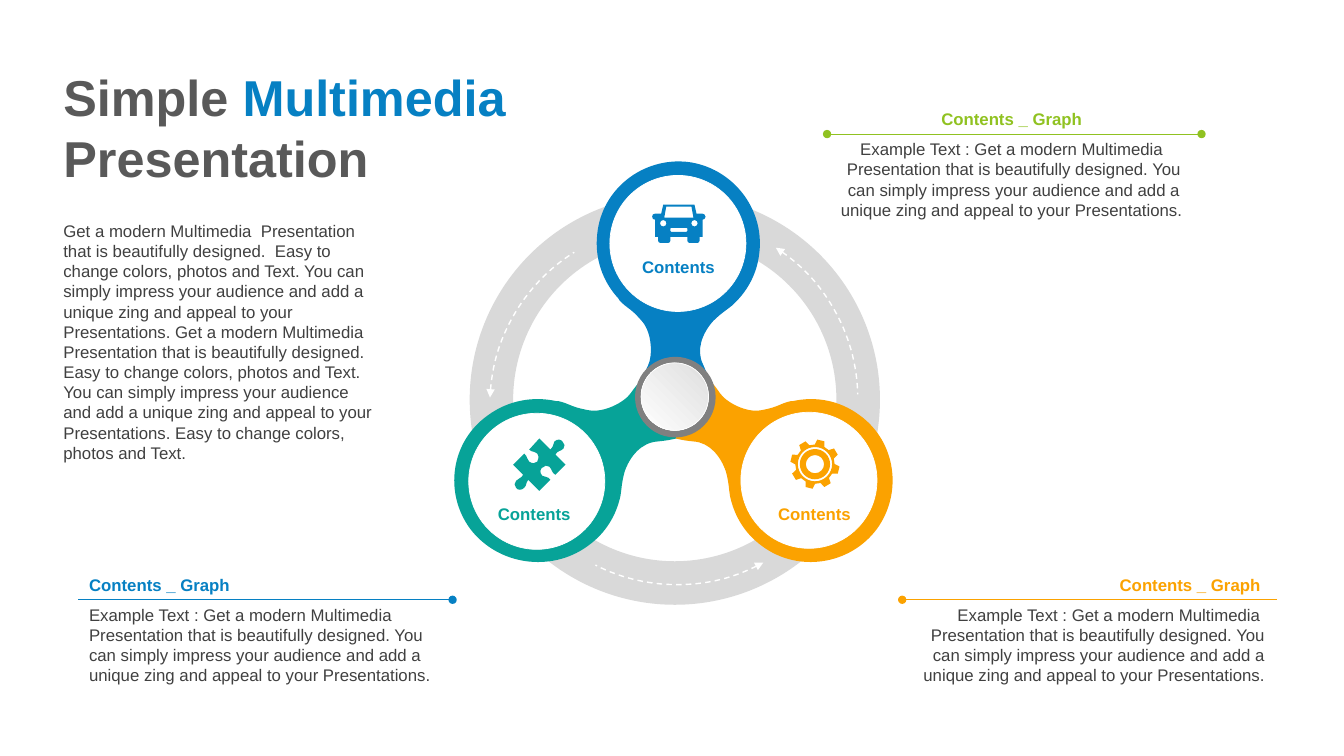
from math import cos, radians, sin

from lxml import etree
from pptx import Presentation
from pptx.dml.color import RGBColor
from pptx.enum.dml import MSO_LINE
from pptx.enum.shapes import MSO_CONNECTOR, MSO_SHAPE
from pptx.enum.text import MSO_AUTO_SIZE, PP_ALIGN
from pptx.oxml.ns import qn
from pptx.util import Inches, Pt

ARC, DONUT, OVAL = MSO_SHAPE.ARC, MSO_SHAPE.DONUT, MSO_SHAPE.OVAL
LEFT, CENTER, RIGHT = PP_ALIGN.LEFT, PP_ALIGN.CENTER, PP_ALIGN.RIGHT
STRAIGHT, DASH = MSO_CONNECTOR.STRAIGHT, MSO_LINE.DASH
FIT_SHAPE = MSO_AUTO_SIZE.SHAPE_TO_FIT_TEXT

CELL = Inches(0.1)
COLUMNS, ROWS = 133.33, 75
OUTLINE_UNIT = Inches(0.01)
ROUNDNESS = 0.55
FONT = "Arial"
COLORS = {
    "blue": "0680C3", "teal": "07A398", "orange": "FBA200", "green": "90C221",
    "title": "595959", "body": "404040", "track": "D9D9D9", "rim": "808080",
    "hub": "DEDEDE", "white": "FFFFFF",
}

LOBE = """M 852 412 C 832 397 808 393 786 398 C 785 398 785 398 784 398
C 779 399 775 401 770 403 C 765 405 760 406 755 407 C 740 410 720 399 714 390
C 708 381 702 375 702 375 L 694 389 L 677 420 L 670 435 C 670 435 677 437 688 438
C 704 439 715 453 720 468 C 723 479 723 487 724 492 C 728 511 738 529 756 542
C 791 568 842 561 869 525 C 895 489 888 438 852 412"""
PUZZLE = """M 558 438 C 560 440 561 443 559 445 C 556 448 553 447 551 451 L 561 461
L 551 471 C 547 469 548 466 545 463 C 543 461 540 462 538 464 C 536 465 535 469 538 472
C 541 474 543 472 546 476 L 535 487 L 524 476 C 521 480 523 481 520 484
C 517 487 513 486 512 484 C 510 482 510 479 512 477 C 514 474 517 475 519 471
L 509 461 L 520 450 C 524 453 522 456 525 458 C 528 460 531 460 533 458
C 534 456 535 453 533 450 C 529 447 528 449 525 446 L 535 435 L 546 446
C 550 442 548 441 550 438 C 553 435 557 436 558 438"""
CAR_BODY = """M 658 203 L 689 203 L 691 212 L 697 212 C 698 212 700 213 700 215
C 700 217 698 218 697 218 L 697 235 L 694 235 L 694 239 C 694 240 693 241 692 241
L 684 241 C 683 241 682 240 682 239 L 682 235 L 665 235 L 665 239
C 665 240 664 241 663 241 L 655 241 C 654 241 653 240 653 239 L 653 235 L 650 235
L 650 218 C 648 218 647 217 647 215 C 647 213 648 212 650 212 L 656 212 L 658 203"""
CAR_WINDOW = "M 661 205 L 659 216 L 688 216 L 686 205"
CAR_GRILLE = """M 666 226 C 665 226 665 227 665 228 C 665 229 665 230 666 230
L 681 230 C 682 230 682 229 682 228 C 682 227 682 226 681 226"""

EXAMPLE = ("Example Text : Get a modern Multimedia  Presentation that is beautifully "
           "designed. You can simply impress your audience and add a unique zing and "
           "appeal to your Presentations.")
INTRO = ("Get a modern Multimedia  Presentation that is beautifully designed.  Easy to "
         "change colors, photos and Text. You can simply impress your audience and add a "
         "unique zing and appeal to your Presentations. Get a modern Multimedia  "
         "Presentation that is beautifully designed. Easy to change colors, photos and "
         "Text. You can simply impress your audience and add a unique zing and appeal to "
         "your Presentations. Easy to change colors, photos and Text.")


def cells(*counts):
    return [round(count * CELL) for count in counts]


def rgb(name):
    return RGBColor.from_string(COLORS[name])


def paint(shape, fill=None, line=None, width=0.5):
    shape.shadow.inherit = False
    if fill:
        shape.fill.solid()
        shape.fill.fore_color.rgb = rgb(fill)
    else:
        shape.fill.background()
    if line:
        shape.line.color.rgb = rgb(line)
        shape.line.width = Pt(width)
    else:
        shape.line.fill.background()


def add_ends(shape, **ends):
    stroke = shape._element.spPr.find(qn("a:ln"))
    for name, kind in ends.items():
        etree.SubElement(stroke, qn(f"a:{name}End")).set("type", kind)


def add_round(page, kind, left, top, size, fill=None, line=None):
    shape = page.shapes.add_shape(kind, *cells(left, top, size, size))
    paint(shape, fill, line)
    return shape


def polar(x, y, radius, angle):
    return x + radius * cos(radians(angle)), y + radius * sin(radians(angle))


def circle(x, y, radius):
    bend = radius * ROUNDNESS
    outline = f"M {x + radius} {y}"
    for dx, dy in ((1, 0), (0, 1), (-1, 0), (0, -1)):
        outline += (f" C {x + dx * radius - dy * bend} {y + dy * radius + dx * bend}"
                    f" {x - dy * radius + dx * bend} {y + dx * radius + dy * bend}"
                    f" {x - dy * radius} {y + dx * radius}")
    return outline


def cog(x, y, teeth=8):
    corners = ((19.5, -14.5), (24.5, -8.5), (24.5, 8.5), (19.5, 14.5))
    points = [polar(x, y, radius, tooth * 360 / teeth - 76 + turn)
              for tooth in range(teeth) for radius, turn in corners]
    return "M " + " L ".join(f"{px:.2f} {py:.2f}" for px, py in points)


def trace(outline):
    points, kinds = [], []
    numbers = []
    for word in outline.split():
        if word.isalpha():
            kinds.append(word)
        else:
            numbers.append(float(word) * OUTLINE_UNIT)
    points = list(zip(numbers[::2], numbers[1::2]))
    return points, kinds[1:]


def bend_curves(shape, kinds):
    strokes = iter(list(shape._element.iter(qn("a:lnTo"))))
    for kind in kinds:
        stroke = next(strokes)
        if kind == "C":
            curve = etree.Element(qn("a:cubicBezTo"))
            stroke.addprevious(curve)
            for part in (stroke, next(strokes), next(strokes)):
                curve.append(part[0])
                part.getparent().remove(part)


def add_outline(page, color, *outlines):
    contours = [trace(outline) for outline in outlines]
    builder = page.shapes.build_freeform(*contours[0][0][0], scale=1.0)
    for index, (points, kinds) in enumerate(contours):
        if index:
            builder.move_to(*points[0])
        builder.add_line_segments(points[1:], close=True)
    shape = builder.convert_to_shape()
    bend_curves(shape, [kind for points, kinds in contours for kind in kinds])
    paint(shape, color)
    return shape


def add_lobe(page, color, left, top, width=22.6, turn=0, mirrored=False):
    lobe = add_outline(page, color, LOBE)
    lobe.left, lobe.top, lobe.width = cells(left, top, width)
    lobe.rotation = turn
    if mirrored:
        lobe._element.spPr.find(qn("a:xfrm")).set("flipH", "1")


def add_text(page, left, top, width, height, spans, size=12, bold=False, align=LEFT):
    box = page.shapes.add_textbox(*cells(left, top, width, height))
    frame = box.text_frame
    frame.word_wrap = True
    frame.auto_size = FIT_SHAPE
    para = frame.paragraphs[0]
    para.alignment = align
    for text, color in spans:
        span = para.add_run()
        span.text = text
        span.font.name, span.font.size, span.font.bold = FONT, Pt(size), bold
        span.font.color.rgb = rgb(color)


def add_callout(page, left, top, color, align, **ends):
    tail = " " if align == CENTER else ""
    add_text(page, left + 0.1, top, 36.9, 9.1, [(EXAMPLE + tail, "body")], align=align)
    heading = "Contents _ Graph" if align == LEFT else "Contents _ Graph "
    add_text(page, left + 0.1, top - 3, 36.9, 3, [(heading, color)], bold=True, align=align)
    rule = page.shapes.add_connector(STRAIGHT, *cells(left, top, left + 37.15, top))
    rule.line.color.rgb = rgb(color)
    rule.line.width = Pt(0.5)
    add_ends(rule, **ends)
    etree.SubElement(rule._element.spPr, qn("a:effectLst"))


def add_direction(page, left, top, turn):
    arrow = add_round(page, ARC, left, top, 35.7, line="white")
    arrow.adjustments[0], arrow.adjustments[1] = 181.8, 215.18
    arrow.rotation = turn
    arrow.line.width = Pt(1)
    arrow.line.dash_style = DASH
    add_ends(arrow, head="triangle")


def add_spinner(page):
    track = add_round(page, DONUT, 46.6, 19.3, 40.7, "track")
    track.adjustments[0] = 0.106
    add_lobe(page, "orange", 67, 37.5)
    add_lobe(page, "blue", 56.6, 16.6, turn=240)
    add_lobe(page, "teal", 44, 37.5, width=23.1, mirrored=True)
    for left, top in ((60.5, 17.4), (73.5, 40.9), (46.5, 41)):
        add_round(page, OVAL, left, top, 13.5, "white", "white")
    add_round(page, OVAL, 63, 35.4, 8, "rim")
    hub = add_round(page, OVAL, 63.6, 36, 6.7, "white", "white")
    hub.fill.gradient()
    hub.fill.gradient_angle = 225
    for stop, color in zip(hub.fill.gradient_stops, ("hub", "white")):
        stop.color.rgb = rgb(color)
    for place in ((49.4, 21.7, 0), (48.6, 22.3, 239.3), (49.3, 22.3, 118.3)):
        add_direction(page, *place)
    for left, top, color in ((61.4, 25, "blue"), (47.1, 49.5, "teal"), (74.9, 49.5, "orange")):
        add_text(page, left, top, 11.8, 3.1, [("Contents", color)], bold=True, align=CENTER)


def add_icons(page):
    add_outline(page, "teal", PUZZLE)
    gear = (808.5, 460.5)
    add_outline(page, "orange", cog(*gear), *(circle(*gear, radius) for radius in (17, 15, 9)))
    lights = [circle(x, 221.5, 3.2) for x in (658, 689)]
    add_outline(page, "blue", CAR_BODY, CAR_WINDOW, CAR_GRILLE, *lights)


def main():
    deck = Presentation()
    deck.slide_width, deck.slide_height = cells(COLUMNS, ROWS)
    page = deck.slides.add_slide(deck.slide_layouts[6])
    add_spinner(page)
    add_icons(page)
    add_callout(page, 89.5, 59.5, "orange", RIGHT, head="oval")
    add_callout(page, 7.75, 59.5, "blue", LEFT, tail="oval")
    add_callout(page, 82.05, 13.3, "green", CENTER, head="oval", tail="oval")
    title = [("Simple ", "title"), ("Multimedia ", "blue"), ("Presentation", "title")]
    add_text(page, 5.3, 6.1, 49.2, 13.1, title, size=36, bold=True)
    add_text(page, 5.3, 21.4, 32.8, 25.2, [(INTRO, "body")])
    deck.save("out.pptx")


if __name__ == "__main__":
    main()
